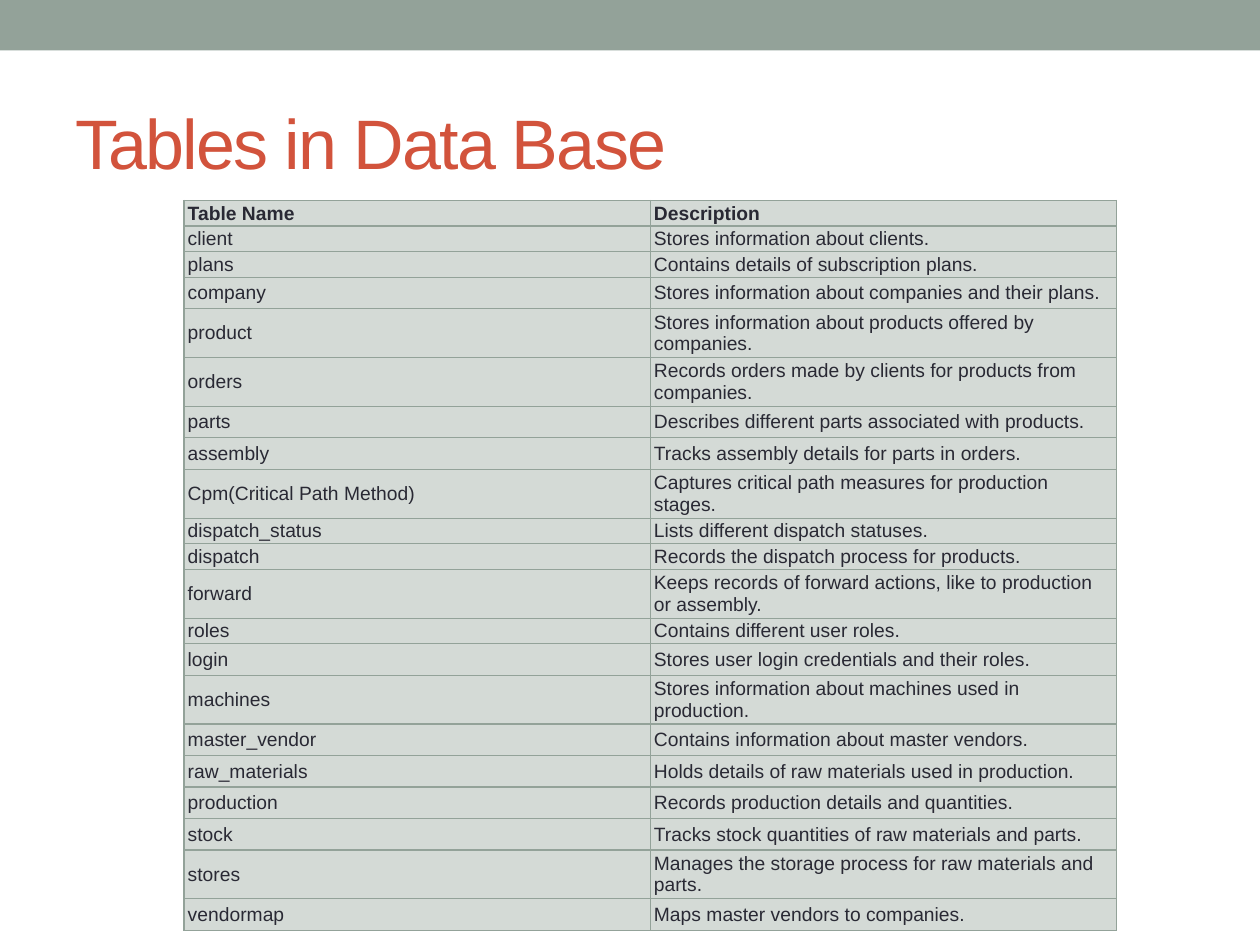
from lxml.etree import SubElement
from pptx import Presentation
from pptx.dml.color import RGBColor
from pptx.enum.shapes import MSO_SHAPE as Shape
from pptx.enum.text import MSO_ANCHOR as Anchor
from pptx.oxml.ns import qn
from pptx.util import Inches, Pt

SAGE = RGBColor(0x93, 0xA2, 0x99)
PALE_SAGE = RGBColor(0xD4, 0xDA, 0xD6)
RUST = RGBColor(0xD2, 0x53, 0x3C)
INK = RGBColor(0x29, 0x29, 0x34)

TIGHT, NORMAL, DOUBLE = 0.2, 0.25, 0.37

TABLE_ROWS = [
    ("Table Name", "Description", TIGHT),
    ("client", "Stores information about clients.", TIGHT),
    ("plans", "Contains details of subscription plans.", TIGHT),
    ("company", "Stores information about companies and their plans.", NORMAL),
    ("product", "Stores information about products offered by companies.", DOUBLE),
    ("orders", "Records orders made by clients for products from companies.", DOUBLE),
    ("parts", "Describes different parts associated with products.", NORMAL),
    ("assembly", "Tracks assembly details for parts in orders.", NORMAL),
    ("Cpm(Critical Path Method)", "Captures critical path measures for production stages.", DOUBLE),
    ("dispatch_status", "Lists different dispatch statuses.", TIGHT),
    ("dispatch", "Records the dispatch process for products.", TIGHT),
    ("forward", "Keeps records of forward actions, like to production or assembly.", DOUBLE),
    ("roles", "Contains different user roles.", TIGHT),
    ("login", "Stores user login credentials and their roles.", NORMAL),
    ("machines", "Stores information about machines used in production.", DOUBLE),
    ("master_vendor", "Contains information about master vendors.", NORMAL),
    ("raw_materials", "Holds details of raw materials used in production.", NORMAL),
    ("production", "Records production details and quantities.", NORMAL),
    ("stock", "Tracks stock quantities of raw materials and parts.", NORMAL),
    ("stores", "Manages the storage process for raw materials and parts.", DOUBLE),
    ("vendormap", "Maps master vendors to companies.", NORMAL),
]


class PageBuilder:
    font_name = "Arial"
    title_size = Pt(40)
    cell_size = Pt(11)
    border_width = Pt(0.75)

    def __init__(self, page):
        self.page = page

    def format_span(self, span, size, color, bold=False):
        span.font.name = self.font_name
        span.font.size = size
        span.font.color.rgb = color
        span.font.bold = bold

    def band(self, left, top, width, height, color):
        band = self.page.shapes.add_shape(
            Shape.RECTANGLE, Inches(left), Inches(top), Inches(width), Inches(height))
        band.shadow.inherit = False
        band.fill.solid()
        band.fill.fore_color.rgb = color
        band.line.fill.background()

    def title(self, text, left, top, width, height):
        box = self.page.shapes.add_textbox(
            Inches(left), Inches(top), Inches(width), Inches(height))
        frame = box.text_frame
        frame.word_wrap = True
        frame.vertical_anchor = Anchor.MIDDLE
        frame.text = text
        span = frame.paragraphs[0].runs[0]
        self.format_span(span, self.title_size, RUST)
        span.font._element.set("spc", "-100")

    def border(self, cell):
        properties = cell._tc.get_or_add_tcPr()
        for side in ("a:lnL", "a:lnR", "a:lnT", "a:lnB"):
            line = SubElement(properties, qn(side), w=str(self.border_width))
            fill = SubElement(line, qn("a:solidFill"))
            SubElement(fill, qn("a:srgbClr"), val=str(SAGE))

    def cell(self, cell, text, is_header):
        cell.margin_left = cell.margin_right = Inches(0.03)
        cell.margin_top = cell.margin_bottom = Inches(0.01)
        cell.vertical_anchor = Anchor.BOTTOM if is_header else Anchor.MIDDLE
        self.border(cell)
        cell.fill.solid()
        cell.fill.fore_color.rgb = PALE_SAGE
        cell.text_frame.text = text
        span = cell.text_frame.paragraphs[0].runs[0]
        self.format_span(span, self.cell_size, INK, is_header)

    def table(self, rows, left, top, column_width):
        height = sum(row[-1] for row in rows)
        table = self.page.shapes.add_table(
            len(rows), 2, Inches(left), Inches(top),
            Inches(2 * column_width), Inches(height)).table
        table.first_row = False
        table.horz_banding = False
        for index, (*texts, row_height) in enumerate(rows):
            table.rows[index].height = Inches(row_height)
            for column, text in enumerate(texts):
                self.cell(table.cell(index, column), text, index == 0)


def main():
    deck = Presentation()
    deck.slide_width = Inches(10)
    deck.slide_height = Inches(7.5)
    builder = PageBuilder(deck.slides.add_slide(deck.slide_layouts[6]))
    builder.band(0, 0, 10, 0.4, SAGE)
    builder.title("Tables in Data Base", 0.5, 0.58, 9, 1.08)
    builder.table(TABLE_ROWS, 1.46, 1.59, 3.7)
    deck.save("out.pptx")


if __name__ == "__main__":
    main()
